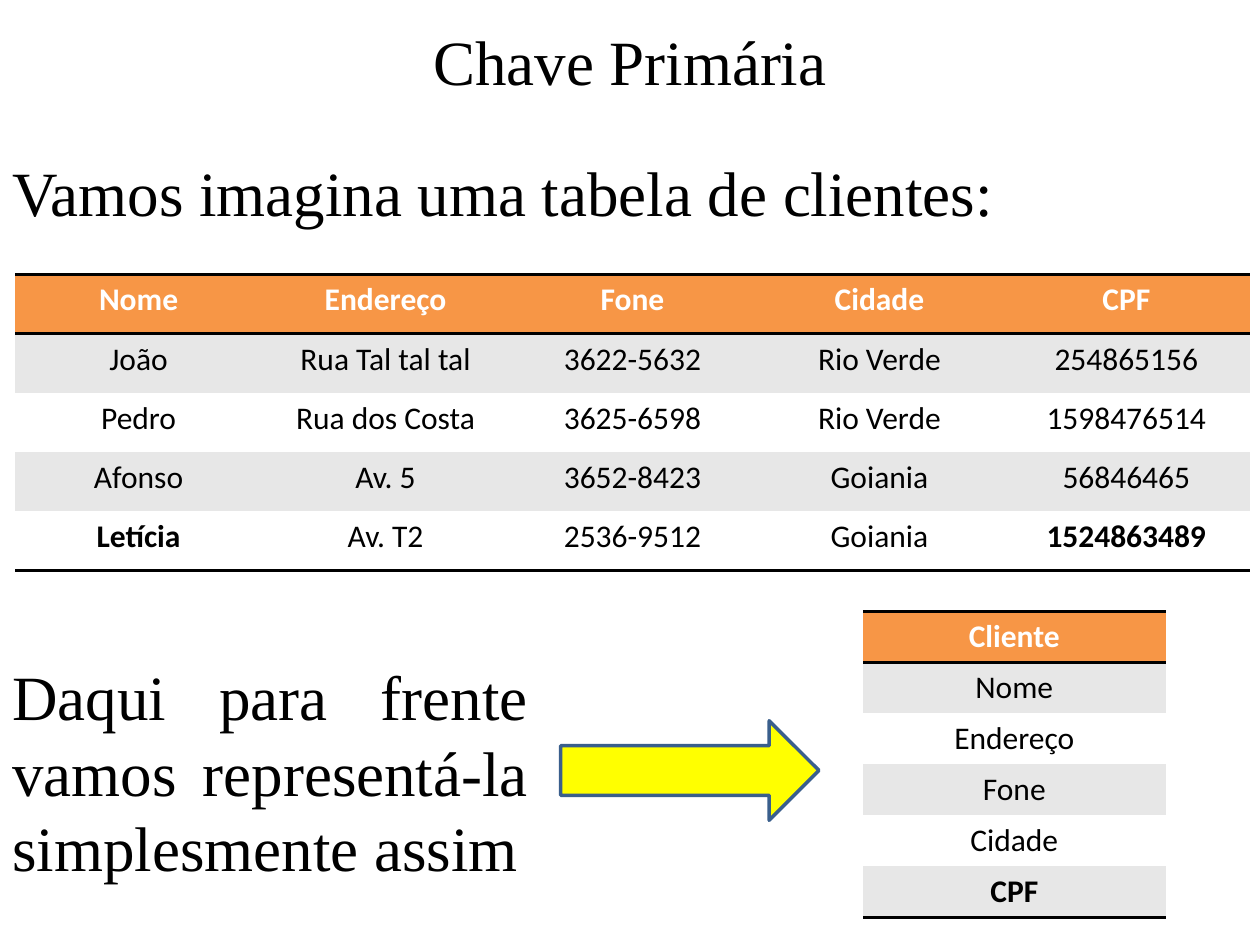
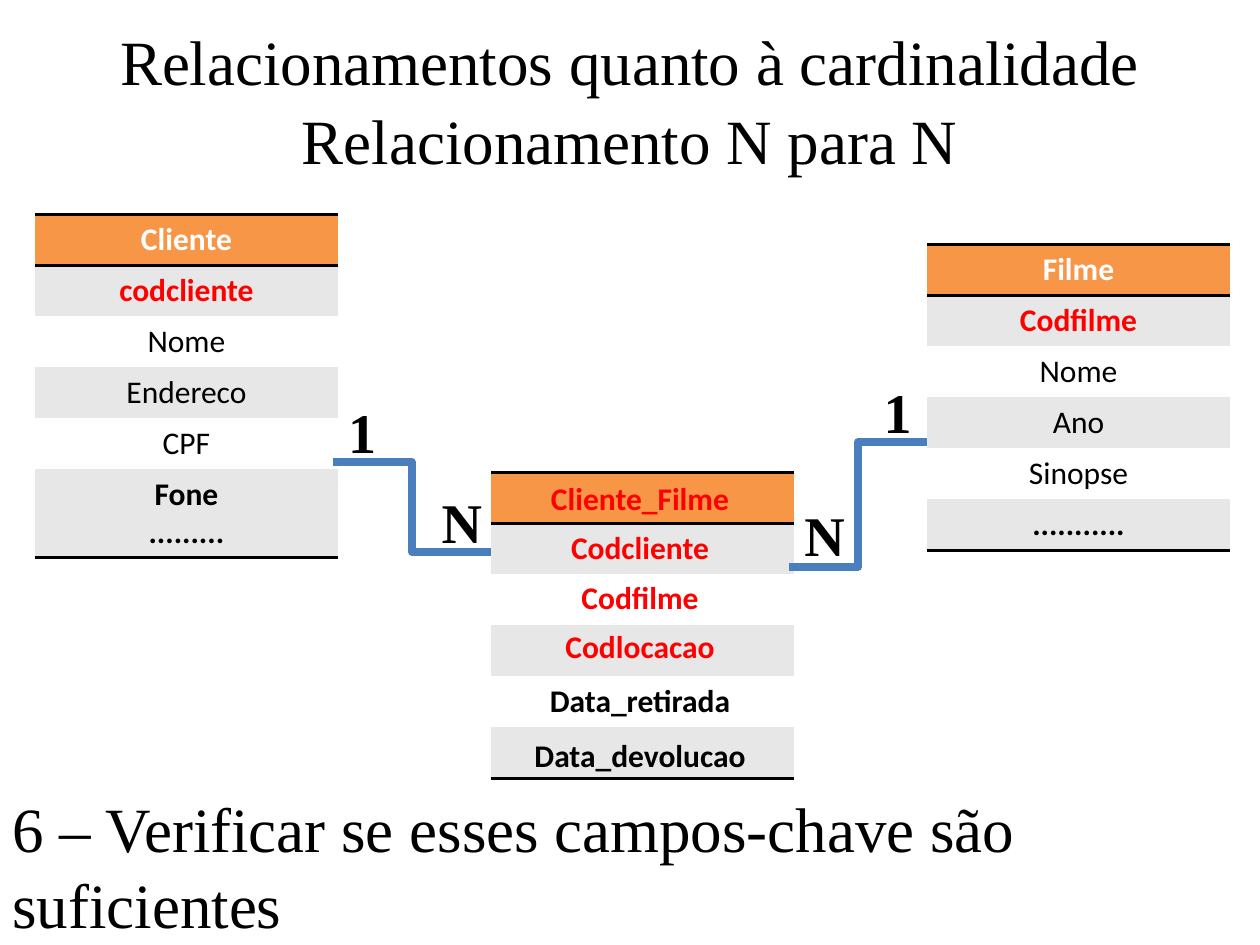
"""Build two slides on primary keys and N-to-N relationships between tables."""
from dataclasses import dataclass

import lxml.etree
import pptx
import pptx.dml.color
import pptx.enum.shapes
import pptx.enum.text
import pptx.oxml.ns
import pptx.util

Inches = pptx.util.Inches
RGB = pptx.dml.color.RGBColor.from_string
qn = pptx.oxml.ns.qn
ALIGN = pptx.enum.text.PP_ALIGN


@dataclass(frozen=True)
class Theme:
    black: str = "000000"
    white: str = "FFFFFF"
    band: str = "E7E7E7"
    header: str = "F79646"
    key: str = "FF0000"
    link: str = "4B7EBC"
    arrow: str = "FFFF00"
    arrow_edge: str = "3A5F8C"
    prose_font: str = "Times New Roman"
    table_font: str = "Calibri"
    prose_size: int = 36
    cardinality_size: int = 32
    table_size: int = 18
    rule_width: int = 2
    plain_table: str = "{2D5ABB26-0587-4C30-8999-92F81FD0307C}"


theme = Theme()


def write(frame, text, align=ALIGN.CENTER, font=theme.prose_font,
          size=theme.prose_size, color=theme.black, bold=False):
    frame.text = text
    frame.word_wrap = True
    for paragraph in frame.paragraphs:
        paragraph.alignment = align
        for run in paragraph.runs:
            run.font.name = font
            run.font.size = pptx.util.Pt(size)
            run.font.bold = bold
            run.font.color.rgb = RGB(color)


def add_entity(slide, left, top, column_width, row_height, rows, bold=(), keys=()):
    frame = slide.shapes.add_table(
        len(rows), len(rows[0]), Inches(left), Inches(top),
        Inches(column_width * len(rows[0])), Inches(row_height * len(rows)))
    table = frame.table
    next(table._tbl.iter(qn("a:tableStyleId"))).text = theme.plain_table
    for column in table.columns:
        column.width = Inches(column_width)
    for r, values in enumerate(rows):
        table.rows[r].height = Inches(row_height)
        ruled = {0: ["a:lnT", "a:lnB"], len(rows) - 1: ["a:lnB"]}.get(r, [])
        fill = theme.header if r == 0 else theme.band if r % 2 else theme.white
        for c, value in enumerate(values):
            cell = table.cell(r, c)
            for side in ruled:
                rule = lxml.etree.SubElement(
                    cell._tc.get_or_add_tcPr(), qn(side), w=str(pptx.util.Pt(theme.rule_width)))
                paint = lxml.etree.SubElement(rule, qn("a:solidFill"))
                lxml.etree.SubElement(paint, qn("a:srgbClr"), val=theme.black)
            cell.fill.solid()
            cell.fill.fore_color.rgb = RGB(fill)
            color = theme.white if r == 0 else theme.key if value in keys else theme.black
            write(cell.text_frame, value, font=theme.table_font, size=theme.table_size,
                  color=color, bold=r == 0 or value in bold or value in keys)


deck = pptx.Presentation()
deck.slide_width, deck.slide_height = Inches(10), Inches(7.5)
slides = []
for heading in ["Chave Primária", "Relacionamentos quanto à cardinalidade"]:
    slide = deck.slides.add_slide(deck.slide_layouts[5])
    title = slide.shapes.title
    title.left, title.top, title.width, title.height = map(Inches, (0, 0.13, 10, 0.71))
    write(title.text_frame, heading)
    title.text_frame.vertical_anchor = pptx.enum.text.MSO_ANCHOR.TOP
    title.text_frame.auto_size = pptx.enum.text.MSO_AUTO_SIZE.NONE
    slides.append(slide)
primary_key, many_to_many = slides

for slide, top, width, height, align, sentence in [
    (primary_key, 1.17, 10, 0.71, ALIGN.JUSTIFY, "Vamos imagina uma tabela de clientes:"),
    (primary_key, 5.17, 4.29, 1.92, ALIGN.JUSTIFY,
     "Daqui para frente vamos representá-la simplesmente assim"),
    (many_to_many, 0.76, 10, 0.71, ALIGN.CENTER, "Relacionamento N para N"),
    (many_to_many, 6.22, 10, 1.31, ALIGN.LEFT,
     "6 – Verificar se esses campos-chave são suficientes"),
]:
    statement = slide.shapes.add_textbox(0, Inches(top), Inches(width), Inches(height))
    write(statement.text_frame, sentence, align)

customers = [
    ["Nome", "Endereço", "Fone", "Cidade", "CPF"],
    ["João", "Rua Tal tal tal", "3622-5632", "Rio Verde", "254865156"],
    ["Pedro", "Rua dos Costa", "3625-6598", "Rio Verde", "1598476514"],
    ["Afonso", "Av. 5", "3652-8423", "Goiania", "56846465"],
    ["Letícia", "Av. T2", "2536-9512", "Goiania", "1524863489"],
]
add_entity(primary_key, 0.12, 2.18, 1.96, 0.47, customers, bold=["Letícia", "1524863489"])
add_entity(primary_key, 6.85, 4.85, 2.4, 0.405,
           [["Cliente"]] + [[field] for field in customers[0]], bold=["CPF"])

leads_to = primary_key.shapes.add_shape(
    pptx.enum.shapes.MSO_SHAPE.RIGHT_ARROW, Inches(4.45), Inches(5.72), Inches(2.05), Inches(0.79))
leads_to.shadow.inherit = False
leads_to.fill.solid()
leads_to.fill.fore_color.rgb = RGB(theme.arrow)
leads_to.line.color.rgb = RGB(theme.arrow_edge)
leads_to.line.width = pptx.util.Pt(2)

phone = "Fone\n........."
dots = "..........."
for left, top, fields in [
    (0.28, 1.7, ["Cliente", "codcliente", "Nome", "Endereco", "CPF", phone]),
    (7.36, 1.94, ["Filme", "Codfilme", "Nome", "Ano", "Sinopse", dots]),
    (3.9, 3.75, [""] * 6),
]:
    add_entity(many_to_many, left, top, 2.4, 0.405, [[field] for field in fields],
               bold=[phone, dots], keys=["codcliente", "Codfilme"])

for top, field, color in [
    (3.75, "Cliente_Filme", theme.key),
    (4.14, "Codcliente", theme.key),
    (4.54, "Codfilme", theme.key),
    (4.93, "Codlocacao", theme.key),
    (5.36, "Data_retirada", theme.black),
    (5.79, "Data_devolucao", theme.black),
]:
    link_field = many_to_many.shapes.add_textbox(Inches(3.9), Inches(top), Inches(2.36), Inches(0.4))
    write(link_field.text_frame, field, font=theme.table_font, size=theme.table_size,
          color=color, bold=True)

for ends, one_at, many_at in [
    ((2.64, 3.67, 3.9, 4.38), (2.48, 3.11), (3.27, 3.82)),
    ((7.36, 3.51, 6.26, 4.5), (6.73, 2.95), (6.15, 3.92)),
]:
    relationship = many_to_many.shapes.add_connector(
        pptx.enum.shapes.MSO_CONNECTOR.ELBOW, *map(Inches, ends))
    relationship.line.color.rgb = RGB(theme.link)
    relationship.line.width = pptx.util.Pt(4.5)
    lxml.etree.SubElement(relationship._element.spPr, qn("a:effectLst"))
    for (left, top), mark in [(one_at, "1"), (many_at, "N")]:
        cardinality = many_to_many.shapes.add_textbox(
            Inches(left), Inches(top), Inches(0.79), Inches(0.64))
        write(cardinality.text_frame, mark, size=theme.cardinality_size, bold=True)

deck.save("out.pptx")
